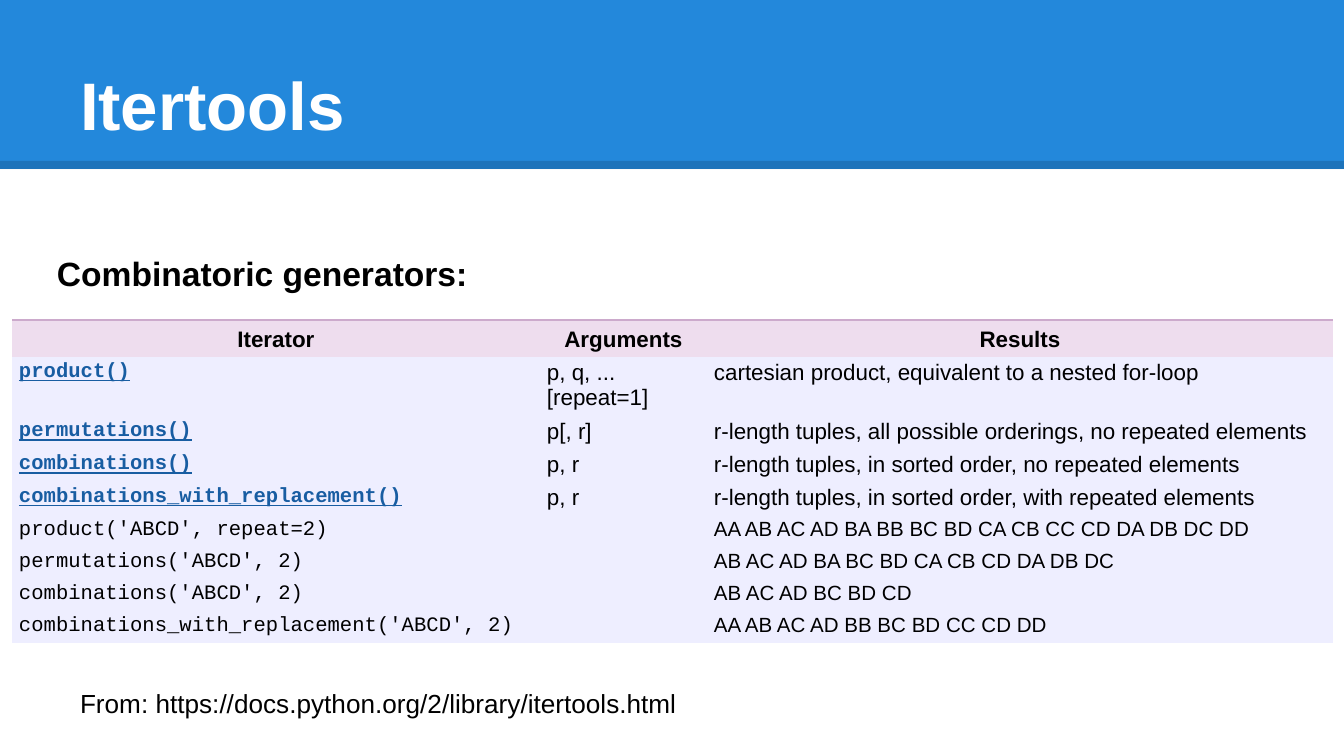
from lxml.etree import SubElement
from pptx import Presentation
from pptx.dml.color import RGBColor
from pptx.enum.shapes import MSO_CONNECTOR, MSO_SHAPE
from pptx.enum.text import MSO_ANCHOR, PP_ALIGN
from pptx.oxml.ns import qn
from pptx.util import Emu, Pt

SCALE = 9144000 / 1344
NO_STYLE = "{2D5ABB26-0587-4C30-8999-92F81FD0307C}"
BLACK, WHITE, BLUE, LINK = "000000", "FFFFFF", "2388DB", "185DA2"
HEAD_FILL, BODY_FILL, HEAD_EDGE = "EEDDEE", "EEEEFF", "CCAACC"
SANS, MONO = "Arial", "Courier New"
COLUMNS = [528, 167, 626]
ROWS = [35, 58] + [32] * 7
HEADINGS = ["Iterator", "Arguments", "Results"]
ITERATORS = [
    ("product()", "p, q, ... [repeat=1]", "cartesian product, equivalent to a nested for-loop"),
    ("permutations()", "p[, r]", "r-length tuples, all possible orderings, no repeated elements"),
    ("combinations()", "p, r", "r-length tuples, in sorted order, no repeated elements"),
    ("combinations_with_replacement()", "p, r", "r-length tuples, in sorted order, with repeated elements"),
]
EXAMPLES = [
    ("product('ABCD', repeat=2)", "", "AA AB AC AD BA BB BC BD CA CB CC CD DA DB DC DD"),
    ("permutations('ABCD', 2)", "", "AB AC AD BA BC BD CA CB CD DA DB DC"),
    ("combinations('ABCD', 2)", "", "AB AC AD BC BD CD"),
    ("combinations_with_replacement('ABCD', 2)", "", "AA AB AC AD BB BC BD CC CD DD"),
]


def px(n):
    """Turn pixels into EMU."""
    return Emu(round(n * SCALE))


def rgb(color):
    """Turn a hex string into a colour."""
    return RGBColor.from_string(color)


def set_all(obj, **values):
    """Set each given attribute on an object."""
    for name, value in values.items():
        setattr(obj, name, value)


def write(tf, text, size, color=BLACK, name=SANS, align=PP_ALIGN.LEFT, spacing=1.0, **font):
    """Write one formatted paragraph into a text frame."""
    p = tf.paragraphs[0]
    set_all(p, alignment=align, line_spacing=spacing)
    if not text:
        p._p.get_or_add_endParaRPr().set("sz", str(size * 100))
        return
    r = p.add_run()
    r.text = text
    set_all(r.font, size=Pt(size), name=name, **font)
    r.font.color.rgb = rgb(color)


def frame(sp, inset, anchor):
    """Set the insets, wrapping and anchor of a shape's text."""
    tf = sp.text_frame
    set_all(tf, margin_left=px(inset), margin_right=px(inset), margin_top=px(inset),
            margin_bottom=px(inset), word_wrap=True, vertical_anchor=anchor)
    return tf


def add_banner(s):
    """Draw the title band and its translucent lower edge."""
    sp = s.shapes.add_shape(MSO_SHAPE.RECTANGLE, 0, 0, px(1344), px(169))
    sp.shadow.inherit = False
    sp.fill.solid()
    sp.fill.fore_color.rgb = rgb(BLUE)
    sp.line.fill.background()
    edge = s.shapes.add_connector(MSO_CONNECTOR.STRAIGHT, 0, px(165), px(1344), px(165))
    edge.line.width = Pt(4.5)
    edge.line.color.rgb = rgb(BLACK)
    color = edge.line._ln.find(".//" + qn("a:srgbClr"))
    SubElement(color, qn("a:alpha"), val="15000")
    SubElement(edge._element.spPr, qn("a:effectLst"))


def add_title(s, text):
    """Format the title placeholder and bring it in front of the band."""
    sp = s.shapes.title
    set_all(sp, left=px(67), top=px(31), width=px(1210), height=px(126))
    write(frame(sp, 13, MSO_ANCHOR.BOTTOM), text, 36, WHITE, bold=True)
    s.shapes._spTree.append(sp._element)


def add_text(s, box, text, size, **style):
    """Add a vertically centred text box."""
    sp = s.shapes.add_textbox(*map(px, box))
    write(frame(sp, 13, MSO_ANCHOR.MIDDLE), text, size, **style)


def add_top_border(cell):
    """Give a cell a thin top border."""
    tc_pr = cell._tc.get_or_add_tcPr()
    ln = SubElement(tc_pr, qn("a:lnT"), w=str(Pt(0.75)))
    fill = SubElement(ln, qn("a:solidFill"))
    SubElement(fill, qn("a:srgbClr"), val=HEAD_EDGE)
    tc_pr.insert(0, ln)


def fill_row(row, texts, styles, fill):
    """Fill one table row, with one text style for each column."""
    for cell, text, style in zip(row.cells, texts, styles):
        set_all(cell, margin_left=px(7), margin_right=px(7), margin_top=px(3),
                margin_bottom=px(3), vertical_anchor=MSO_ANCHOR.TOP)
        cell.fill.solid()
        cell.fill.fore_color.rgb = rgb(fill)
        write(cell.text_frame, text, **style)


def add_iterator_table(s):
    """Add the table of iterators and examples."""
    shape = s.shapes.add_table(len(ROWS), len(COLUMNS), px(12), px(320),
                               px(sum(COLUMNS)), px(sum(ROWS)))
    table = shape.table
    table._tbl.tblPr.find(qn("a:tableStyleId")).text = NO_STYLE
    for column, width in zip(table.columns, COLUMNS):
        column.width = px(width)
    for row, height in zip(table.rows, ROWS):
        row.height = px(height)
    head = dict(size=12, bold=True, align=PP_ALIGN.CENTER, spacing=1.15)
    link = dict(size=11, name=MONO, color=LINK, bold=True, underline=True)
    code, plain, result = dict(size=11, name=MONO), dict(size=12), dict(size=11)
    rows = [(HEADINGS, [head] * 3, HEAD_FILL)]
    rows += [(texts, [link, plain, plain], BODY_FILL) for texts in ITERATORS]
    rows += [(texts, [code, result, result], BODY_FILL) for texts in EXAMPLES]
    for row, content in zip(table.rows, rows):
        fill_row(row, *content)
    for cell in table.rows[0].cells:
        add_top_border(cell)


def main():
    """Build and save the slide."""
    prs = Presentation()
    set_all(prs, slide_width=px(1344), slide_height=px(756))
    s = prs.slides.add_slide(prs.slide_layouts[5])
    add_banner(s)
    add_title(s, "Itertools")
    add_text(s, (67, 650, 927, 106), "From: https://docs.python.org/2/library/itertools.html", 14)
    add_text(s, (44, 44, 441, 441), "Combinatoric generators:", 18, bold=True,
             align=PP_ALIGN.JUSTIFY, spacing=1.42)
    add_iterator_table(s)
    prs.save("out.pptx")


if __name__ == "__main__":
    main()
